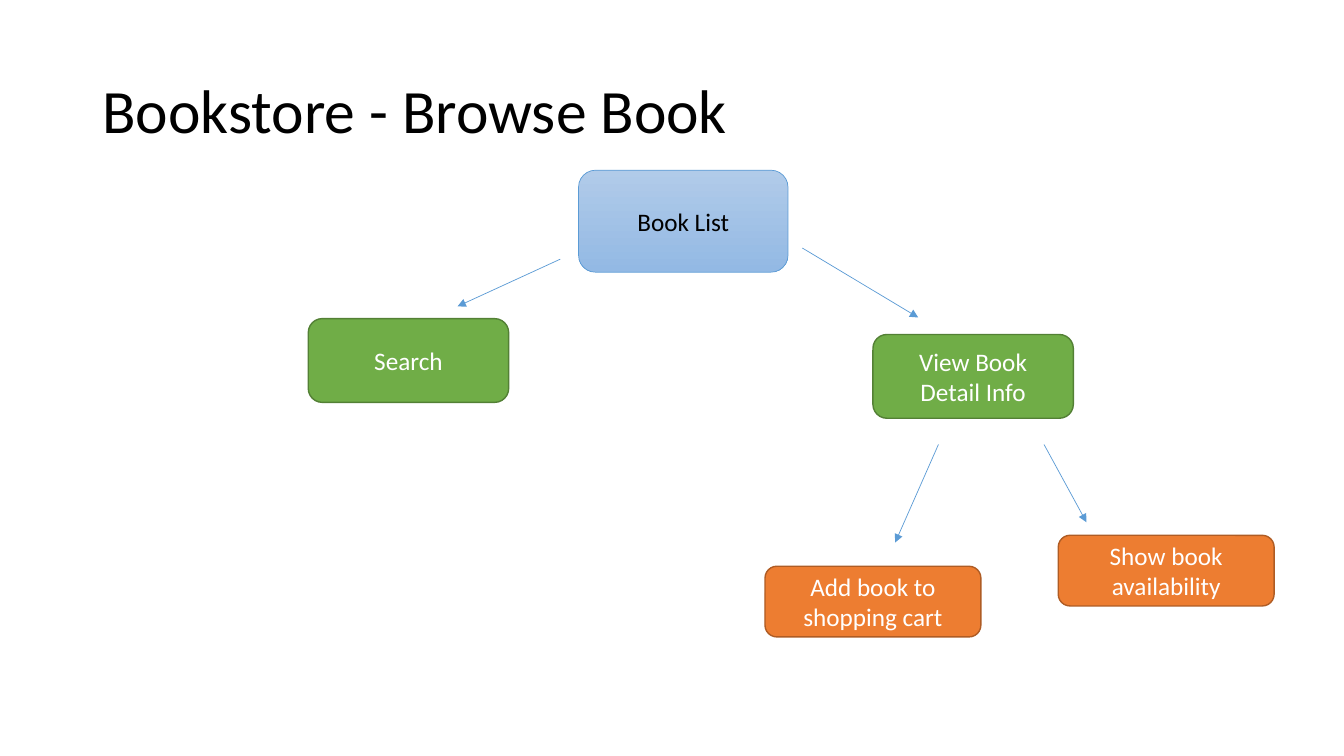
import pptx
import pptx.dml.color
import pptx.enum.shapes
import pptx.enum.text
import pptx.oxml
import pptx.oxml.ns
import pptx.util
from pptx.util import Cm

BLUE, GREEN, ORANGE = "5B9BD5", "70AD47", "ED7D31"
BLACK, WHITE = "000000", "FFFFFF"


def rgb(value):
    return pptx.dml.color.RGBColor.from_string(value)


def set_text(sp, text, size, color, align):
    tf = sp.text_frame
    tf.text = text
    tf.word_wrap = True
    tf.vertical_anchor = pptx.enum.text.MSO_ANCHOR.MIDDLE
    p = tf.paragraphs[0]
    p.alignment = align
    p.font.name = "Calibri"
    p.font.size = pptx.util.Pt(size)
    p.font.color.rgb = rgb(color)
    return p


prs = pptx.Presentation()
prs.slide_width, prs.slide_height = Cm(33.87), Cm(19.05)
s = prs.slides.add_slide(prs.slide_layouts[5])

title = s.shapes.title
title.left, title.top, title.width, title.height = Cm(2.33), Cm(1.01), Cm(29.21), Cm(3.68)
p = set_text(title, "Bookstore - Browse Book", 44, BLACK, pptx.enum.text.PP_ALIGN.LEFT)
p.line_spacing = 0.9

# Style of each level of the tree: width, height, fill, line, line width, text colour
levels = [
    (5.28, 2.57, None, BLUE, 0.5, BLACK),
    (5.05, 2.11, GREEN, "538035", 1, WHITE),
    (5.44, 1.78, ORANGE, "AF5C24", 1, WHITE),
]
nodes = [
    ("Book List", 0, 14.58, 4.29),
    ("Search", 1, 7.77, 8.03),
    ("View Book Detail Info", 1, 22, 8.43),
    ("Add book to shopping cart", 2, 19.28, 14.27),
    ("Show book availability", 2, 26.67, 13.49),
]
for text, level, left, top in nodes:
    width, height, fill, line, line_width, text_color = levels[level]
    sp = s.shapes.add_shape(pptx.enum.shapes.MSO_SHAPE.ROUNDED_RECTANGLE,
                            Cm(left), Cm(top), Cm(width), Cm(height))
    sp.shadow.inherit = False
    if fill:
        sp.fill.solid()
        sp.fill.fore_color.rgb = rgb(fill)
    else:
        sp.fill.gradient()
        sp.fill.gradient_angle = 270
        for stop, color in zip(sp.fill.gradient_stops, ("B1CBE9", "93B9E4")):
            stop.color.rgb = rgb(color)
    sp.line.color.rgb = rgb(line)
    sp.line.width = pptx.util.Pt(line_width)
    set_text(sp, text, 18, text_color, pptx.enum.text.PP_ALIGN.CENTER)

arrows = [
    (14.12, 6.53, 11.53, 7.72),
    (20.22, 6.25, 23.14, 8),
    (23.65, 11.2, 22.56, 13.67),
    (26.31, 11.2, 27.38, 13.16),
]
for ends in arrows:
    arrow = s.shapes.add_connector(pptx.enum.shapes.MSO_CONNECTOR.STRAIGHT,
                                   *[Cm(v) for v in ends])
    arrow.line.color.rgb = rgb(BLUE)
    arrow.line.width = pptx.util.Pt(0.5)
    head = pptx.oxml.parse_xml(
        f'<a:tailEnd {pptx.oxml.ns.nsdecls("a")} type="triangle"/>')
    arrow.line._get_or_add_ln().append(head)
    arrow._element.spPr.append(
        pptx.oxml.parse_xml(f'<a:effectLst {pptx.oxml.ns.nsdecls("a")}/>'))

prs.save("out.pptx")
